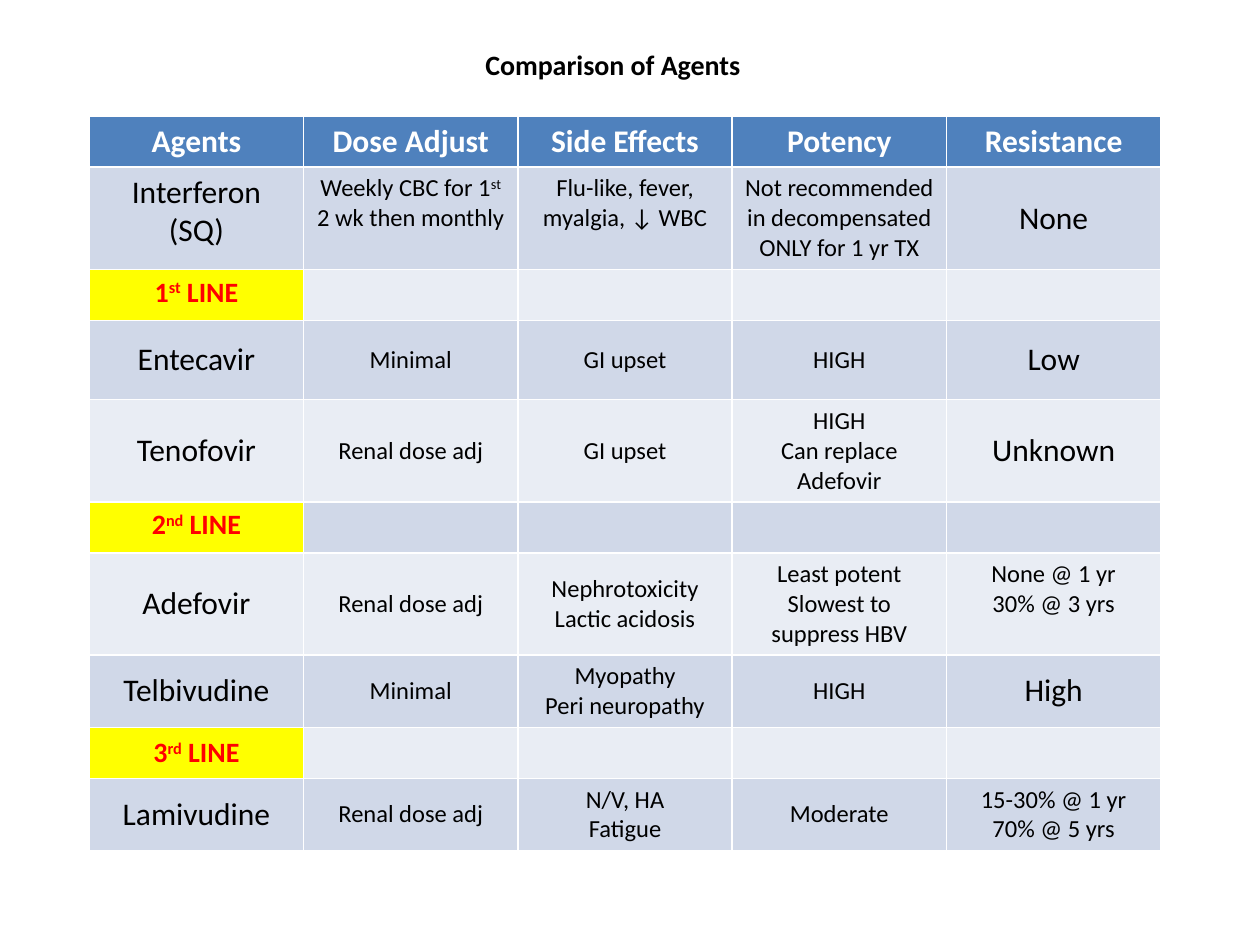
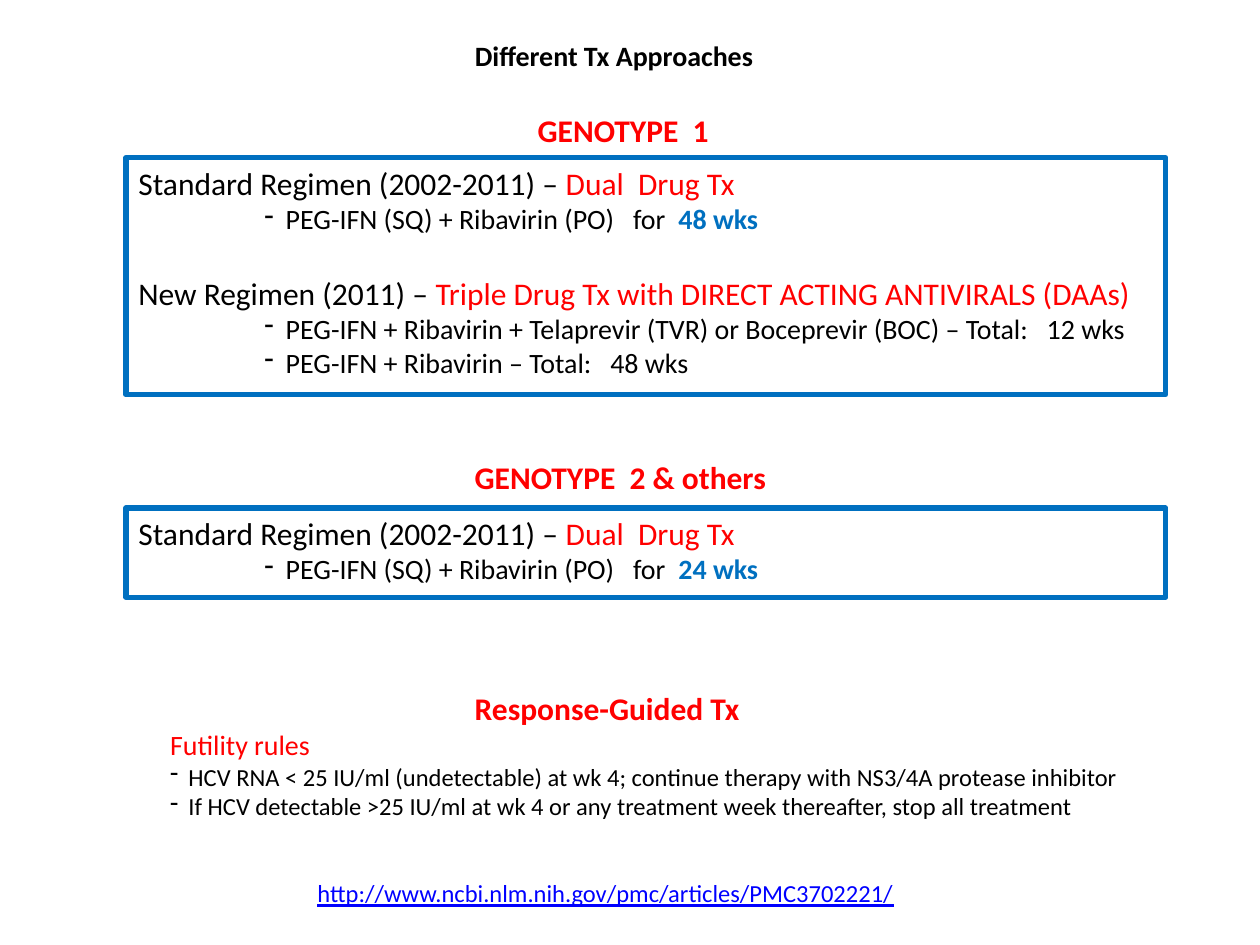
"""Build two slides on hepatitis agents and treatment approaches."""
from lxml import etree
from pptx import Presentation
from pptx import util as u
from pptx.dml.color import RGBColor
from pptx.enum import shapes, text
from pptx.oxml.ns import qn

COLORS = {
    "black": "000000", "white": "FFFFFF", "red": "FF0000", "blue": "0070C0",
    "link": "0000FF", "header": "4F81BD", "dark": "D0D8E8", "light": "E9EDF4",
    "yellow": "FFFF00",
}
FONT = "Calibri"


def add_runs(paragraph, content, size, color="black", bold=False):
    """Add text in runs; parts between ^ marks are superscript."""
    for index, part in enumerate(content.split("^")):
        run = paragraph.add_run()
        run.text = part
        run.font.name = FONT
        run.font.size = u.Pt(size)
        run.font.bold = bold
        run.font.color.rgb = RGBColor.from_string(COLORS[color])
        if index % 2:
            run.font._element.set("baseline", "30000")


def add_dash(paragraph, margin, hang):
    """Give a paragraph a dash bullet with a hanging indent."""
    properties = paragraph._p.get_or_add_pPr()
    properties.set("marL", str(u.Cm(margin + hang)))
    properties.set("indent", str(-u.Cm(hang)))
    etree.SubElement(properties, qn("a:buChar")).set("char", "-")


presentation = Presentation()
presentation.slide_width = u.Cm(25.4)
presentation.slide_height = u.Cm(19.05)

titles = [
    ("Comparison of Agents", 9.53, 0.84, 6.15),
    ("Different Tx Approaches", 9.32, 0.64, 6.55),
]
slides = []
for content, left, top, width in titles:
    slide = presentation.slides.add_slide(presentation.slide_layouts[5])
    title = slide.shapes.title
    title.left, title.top = u.Cm(left), u.Cm(top)
    title.width, title.height = u.Cm(width), u.Cm(0.94)
    frame = title.text_frame
    frame.auto_size = text.MSO_AUTO_SIZE.NONE
    frame.vertical_anchor = text.MSO_ANCHOR.TOP
    paragraph = frame.paragraphs[0]
    paragraph.alignment = text.PP_ALIGN.LEFT
    add_runs(paragraph, content, 16, bold=True)
    slides.append(slide)
agents_slide, approaches_slide = slides

agents = [
    (1.03, ["Agents", "Dose Adjust", "Side Effects", "Potency", "Resistance"]),
    (2.03, ["Interferon (SQ)", "Weekly CBC for 1^st^ 2 wk then monthly",
            "Flu-like, fever, myalgia, ↓ WBC",
            "Not recommended in decompensated\nONLY for 1 yr TX", "None"]),
    (1.03, ["1^st^ LINE"]),
    (1.6, ["Entecavir", "Minimal", "GI upset", "HIGH", "Low"]),
    (2.03, ["Tenofovir", "Renal dose adj", "GI upset",
            "HIGH\nCan replace Adefovir", "Unknown"]),
    (1.03, ["2^nd^ LINE"]),
    (2.03, ["Adefovir", "Renal dose adj", "Nephrotoxicity\nLactic acidosis",
            "Least potent\nSlowest to suppress HBV", "None @ 1 yr\n30% @ 3 yrs"]),
    (1.43, ["Telbivudine", "Minimal", "Myopathy\nPeri neuropathy", "HIGH", "High"]),
    (1.03, ["3^rd^ LINE"]),
    (1.43, ["Lamivudine", "Renal dose adj", "N/V, HA\nFatigue", "Moderate",
            "15-30% @ 1 yr\n70% @ 5 yrs"]),
]
top_cells = {(1, 0), (1, 1), (1, 2), (1, 3), (2, 0), (5, 0), (6, 4)}
column_count = 5
table = agents_slide.shapes.add_table(
    len(agents), column_count, u.Cm(1.8), u.Cm(2.34),
    u.Cm(21.6), u.Cm(sum(height for height, _ in agents))).table
for column in table.columns:
    column.width = u.Cm(4.32)
for row, (height, contents) in enumerate(agents):
    table.rows[row].height = u.Cm(height)
    is_line = len(contents) == 1
    for column in range(column_count):
        content = contents[column] if column < len(contents) else ""
        lines = content.split("\n")
        fill, size, color, bold = "dark" if row % 2 else "light", 14, "black", False
        if row == 0:
            fill, size, color, bold = "header", 18, "white", True
        elif is_line and column == 0:
            fill, size, color, bold = "yellow", 16, "red", True
        elif column == 0 or (column == 4 and len(lines) == 1):
            size = 18
        cell = table.cell(row, column)
        cell.fill.solid()
        cell.fill.fore_color.rgb = RGBColor.from_string(COLORS[fill])
        if not content:
            continue
        is_top = row == 0 or (row, column) in top_cells
        cell.vertical_anchor = text.MSO_ANCHOR.TOP if is_top else text.MSO_ANCHOR.MIDDLE
        for index, line in enumerate(lines):
            frame = cell.text_frame
            paragraph = frame.add_paragraph() if index else frame.paragraphs[0]
            paragraph.alignment = text.PP_ALIGN.CENTER
            add_runs(paragraph, line, size, color, bold)

standard = [("Standard Regimen (2002-2011) – ", 18), ("Dual  Drug Tx", 18, "red")]
dual_drugs = ("PEG-IFN (SQ) + Ribavirin (PO)   for  ", 16)
regimen_dash, rule_dash = (2.54, 0.43), (0, 0.37)
regimens = [
    (3.18, 4.78, [
        (None, 0, standard),
        (regimen_dash, 0, [dual_drugs, ("48 wks", 16, "blue", True)]),
        (None, 22, [("New Regimen (2011) – ", 18),
                    ("Triple Drug Tx with DIRECT ACTING ANTIVIRALS (DAAs)", 18, "red")]),
        (regimen_dash, 0, [("PEG-IFN + Ribavirin + Telaprevir (TVR) or "
                            "Boceprevir (BOC) – Total:   12 wks", 16)]),
        (regimen_dash, 0, [("PEG-IFN + Ribavirin – Total:   48 wks", 16)]),
    ]),
    (10.24, 1.8, [
        (None, 0, standard),
        (regimen_dash, 0, [dual_drugs, ("24 wks", 16, "blue", True)]),
    ]),
]
headings = [
    ("GENOTYPE  1", 10.59, 2.11, 4.45),
    ("GENOTYPE  2 & others", 9.32, 9.1, 6.55),
    ("Response-Guided Tx", 9.32, 13.76, 6.15),
]
futility_rules = [
    (None, 0, [("Futility rules", 16, "red")]),
    (rule_dash, 0, [("HCV RNA < 25 IU/ml (undetectable) at wk 4; continue therapy "
                     "with NS3/4A protease inhibitor", 14)]),
    (rule_dash, 0, [("If HCV detectable >25 IU/ml at wk 4 or any treatment week "
                     "thereafter, stop all treatment", 14)]),
]
source_link = [(None, 0, [("http://www.ncbi.nlm.nih.gov/pmc/articles/PMC3702221/", 14, "link")])]

blocks = []
for top, height, paragraphs in regimens:
    shape = approaches_slide.shapes.add_shape(
        shapes.MSO_SHAPE.RECTANGLE, u.Cm(2.54), u.Cm(top), u.Cm(20.96), u.Cm(height))
    shape.shadow.inherit = False
    shape.fill.background()
    shape.line.color.rgb = RGBColor.from_string(COLORS["blue"])
    shape.line.width = u.Pt(3)
    blocks.append((shape, paragraphs))

text_boxes = [(left, top, width, 1.02, [(None, 0, [(heading, 18, "red", True)])])
              for heading, left, top, width in headings]
text_boxes += [(3.18, 14.55, 19.89, 2.13, futility_rules),
               (6.15, 17.58, 12.7, 0.86, source_link)]
for left, top, width, height, paragraphs in text_boxes:
    shape = approaches_slide.shapes.add_textbox(
        u.Cm(left), u.Cm(top), u.Cm(width), u.Cm(height))
    blocks.append((shape, paragraphs))

for shape, paragraphs in blocks:
    frame = shape.text_frame
    frame.word_wrap = True
    frame.vertical_anchor = text.MSO_ANCHOR.TOP
    for index, (dash, space_before, runs) in enumerate(paragraphs):
        paragraph = frame.add_paragraph() if index else frame.paragraphs[0]
        paragraph.alignment = text.PP_ALIGN.LEFT
        if space_before:
            paragraph.space_before = u.Pt(space_before)
        if dash:
            add_dash(paragraph, *dash)
        for run in runs:
            add_runs(paragraph, *run)
        if paragraphs is source_link:
            paragraph.runs[0].font.underline = True

presentation.save("out.pptx")
